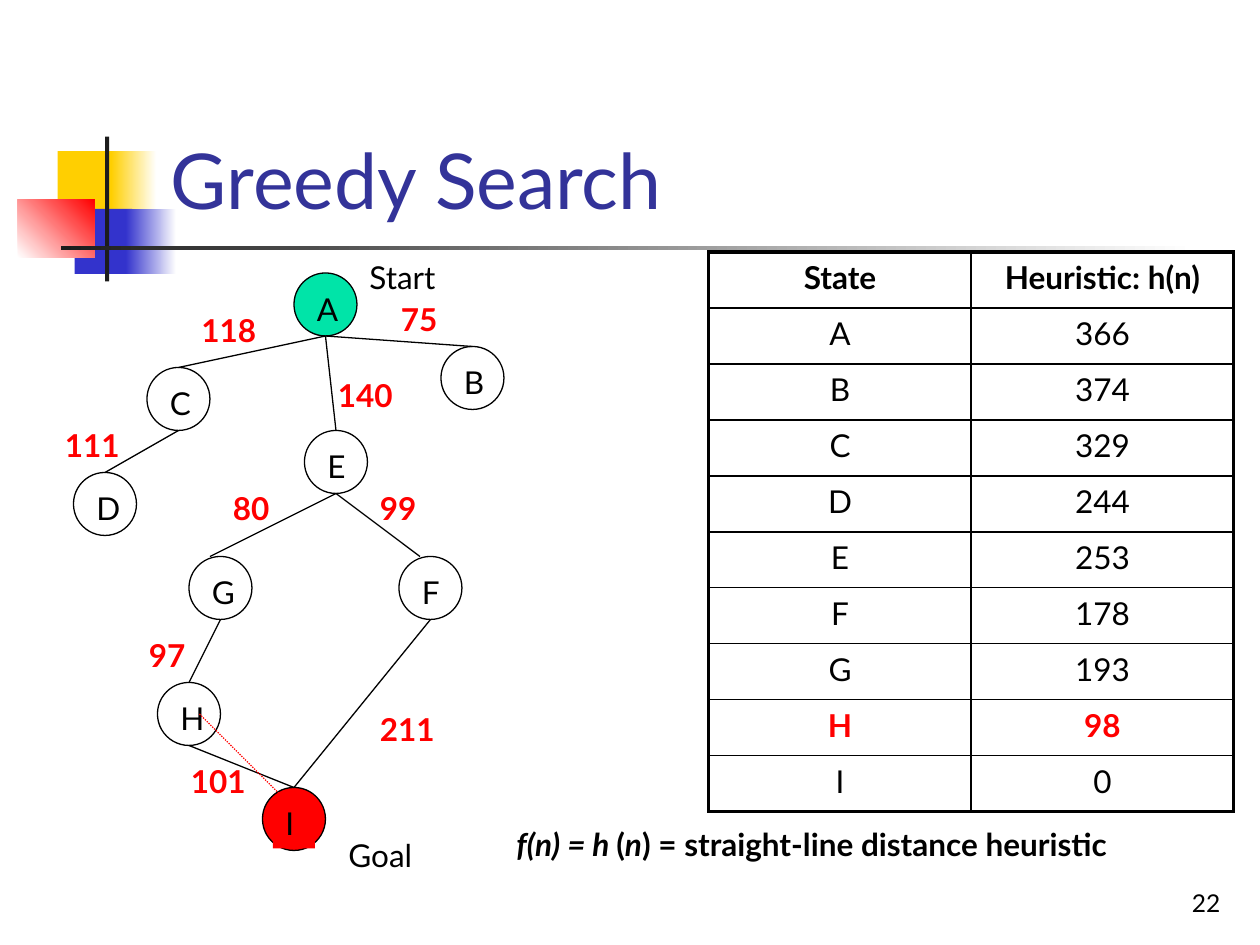
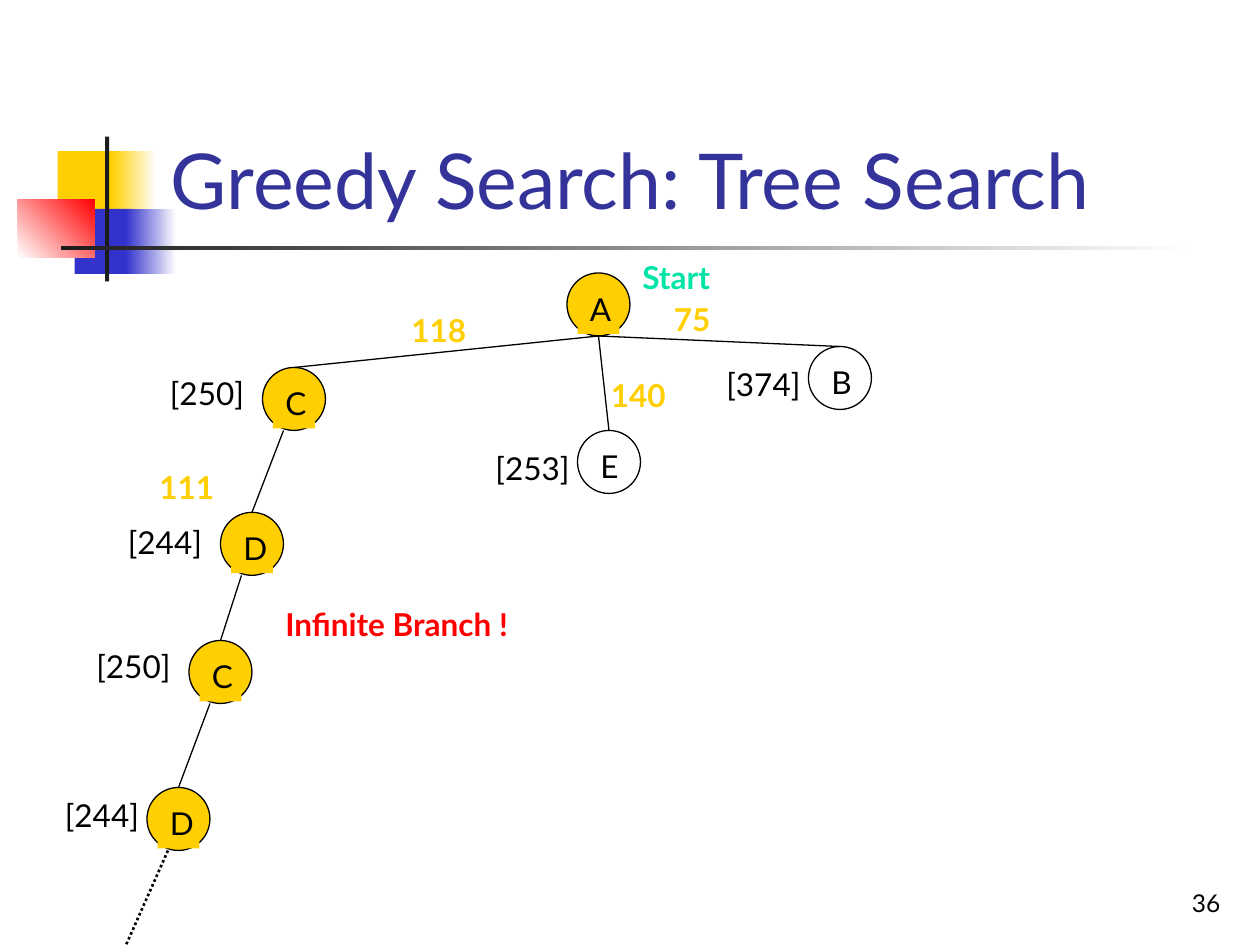
from lxml.etree import SubElement
from pptx import Presentation
from pptx.dml.color import RGBColor
from pptx.enum.dml import MSO_LINE
from pptx.enum.shapes import MSO_CONNECTOR, MSO_SHAPE
from pptx.enum.text import MSO_ANCHOR, PP_ALIGN
from pptx.oxml import parse_xml
from pptx.oxml.ns import nsdecls, qn
from pptx.util import Emu, Pt

PX = 7620  # EMU per px, 120 px to the inch
FONT = "Lato"
COLORS = {
    "black": "000000", "white": "FFFFFF", "red": "FF0000", "yellow": "FFCF01",
    "blue": "3333CC", "title": "333399", "ink": "1C1C1C", "green": "00E4A8",
}
NODE_SIZE = 60
LABEL_INSET = 10
LABEL_HEIGHT = 48
ELLIPSE_BOTTOM = "4"


def px(*lengths):
    return [Emu(length * PX) for length in lengths]


def color(name):
    return RGBColor.from_string(COLORS[name])


class Deck:
    def __init__(self):
        self.presentation = Presentation()
        self.presentation.slide_width, self.presentation.slide_height = px(1200, 900)
        self.slide = None
        self.nodes = {}

    def new_slide(self, title, number):
        self.slide = self.presentation.slides.add_slide(self.presentation.slide_layouts[6])
        self.nodes = {}
        # Corner blocks and rules
        self.shape((55, 144, 58, 62), "yellow")
        self.shape((106, 144, 43, 62), ("yellow", "white"))
        self.shape((71, 199, 55, 62), "blue")
        self.shape((120, 199, 48, 62), ("blue", "white"))
        self.shape((17, 190, 73, 55), ("white", "red"), angle=45)
        self.shape((100, 130, 4, 138), "ink")
        self.shape((58, 234, 1080, 4), ("ink", "white"))
        # Slide number and title
        self.text((924, 820, 250, 60), str(number), size=14,
                  align=PP_ALIGN.RIGHT, anchor=MSO_ANCHOR.BOTTOM)
        self.text((151, 28, 1022, 192), title, "title", size=44, anchor=MSO_ANCHOR.BOTTOM)

    def shape(self, box, fill=None, kind=MSO_SHAPE.RECTANGLE, line=None, angle=0):
        shape = self.slide.shapes.add_shape(kind, *px(*box))
        shape.shadow.inherit = False
        if fill is None:
            shape.fill.background()
        elif isinstance(fill, tuple):
            shape.fill.gradient()
            shape.fill.gradient_angle = angle
            for stop, name in zip(shape.fill.gradient_stops, fill):
                stop.color.rgb = color(name)
        else:
            shape.fill.solid()
            shape.fill.fore_color.rgb = color(fill)
        if line:
            shape.line.color.rgb = color(line)
            shape.line.width = Pt(0.75)
        else:
            shape.line.fill.background()
        return shape

    def format(self, paragraph, ink="black", size=18, bold=False, align=PP_ALIGN.LEFT):
        paragraph.alignment = align
        for run in paragraph.runs:
            run.font.name = FONT
            run.font.size = Pt(size)
            run.font.bold = bold
            run.font.color.rgb = color(ink)

    def text(self, box, text, ink="black", size=18, bold=False, fill=None,
             align=PP_ALIGN.LEFT, anchor=MSO_ANCHOR.TOP):
        """A string gives one run; a list holds (text, italic) runs."""
        if fill:
            shape = self.shape(box, fill)
        else:
            shape = self.slide.shapes.add_textbox(*px(*box))
        frame = shape.text_frame
        frame.word_wrap = True
        frame.vertical_anchor = anchor
        paragraph = frame.paragraphs[0]
        for part, italic in [(text, False)] if isinstance(text, str) else text:
            run = paragraph.add_run()
            run.text = part
            run.font.italic = italic
        self.format(paragraph, ink, size, bold, align)

    def labels(self, items, ink="black", bold=False):
        for text, left, top, width in items:
            self.text((left, top, width, LABEL_HEIGHT), text, ink, bold=bold)

    def node(self, key, left, top, fill=None, label_fill=None):
        """The first letter of the key is the state shown."""
        self.nodes[key] = self.shape((left, top, NODE_SIZE, NODE_SIZE), fill,
                                     MSO_SHAPE.OVAL, "black")
        self.text((left + LABEL_INSET, top + LABEL_INSET, NODE_SIZE - 2 * LABEL_INSET,
                   LABEL_HEIGHT), key[0], fill=label_fill)

    def line(self, start, end, ink="black", width=0.75, dotted=False, arrow=False):
        connector = self.slide.shapes.add_connector(MSO_CONNECTOR.STRAIGHT, *px(*start, *end))
        connector.line.color.rgb = color(ink)
        connector.line.width = Pt(width)
        if dotted:
            connector.line.dash_style = MSO_LINE.ROUND_DOT
        if arrow:
            SubElement(connector.line._get_or_add_ln(), qn("a:tailEnd"), type="triangle")
        SubElement(connector._element.spPr, qn("a:effectLst"))
        return connector

    def edge(self, parent_key, child_key, start_shift=0, end_shift=0):
        """Join a parent's bottom to a child's top; a shifted end stays free."""
        parent, child = self.nodes[parent_key], self.nodes[child_key]
        start = ((parent.left + parent.width // 2) // PX + start_shift,
                 (parent.top + parent.height) // PX)
        end = ((child.left + child.width // 2) // PX + end_shift, child.top // PX)
        connector = self.line(start, end)
        if not start_shift:
            connector.begin_connect(parent, 2)
            # An ellipse has eight sites, so its bottom has another index
            connector._element.xpath(".//a:stCxn")[0].set("idx", ELLIPSE_BOTTOM)
        if not end_shift:
            connector.end_connect(child, 0)

    def table(self, box, rows, highlight):
        table = self.slide.shapes.add_table(len(rows), len(rows[0]), *px(*box)).table
        table.first_row = table.horz_banding = False
        last_row, last_column = len(rows) - 1, len(rows[0]) - 1
        for i, row in enumerate(rows):
            for j, value in enumerate(row):
                cell = table.cell(i, j)
                cell.text_frame.text = value
                self.format(cell.text_frame.paragraphs[0],
                            "red" if i == highlight else "black",
                            bold=i in (0, highlight), align=PP_ALIGN.CENTER)
                cell.fill.background()
                self.borders(cell, L=j == 0, R=j == last_column, T=i == 0, B=i == last_row)

    def borders(self, cell, **outer_sides):
        properties = cell._tc.get_or_add_tcPr()
        for position, (side, outer) in enumerate(outer_sides.items()):
            width = Pt(2.25) if outer else Pt(1)
            properties.insert(position, parse_xml(
                f'<a:ln{side} {nsdecls("a")} w="{width}"><a:solidFill>'
                f'<a:srgbClr val="{COLORS["black"]}"/></a:solidFill></a:ln{side}>'))


def heuristic_slide(deck):
    deck.new_slide("Greedy Search", 22)
    # Search graph
    deck.node("A", 280, 260, "green")
    for key, left, top in [("B", 420, 330), ("C", 140, 350), ("D", 70, 450), ("E", 290, 410),
                           ("F", 380, 530), ("G", 180, 530), ("H", 150, 650)]:
        deck.node(key, left, top)
    deck.node("I", 250, 750, "red", "red")
    for parent, child in ["AB", "AC", "AE", "CD", "FI", "GH", "HI"]:
        deck.edge(parent, child)
    for child in "FG":
        deck.edge("E", child, end_shift=-10)
    # Step costs and captions
    deck.labels([("118", 180, 290, 100), ("75", 370, 280, 80), ("140", 310, 352, 100),
                 ("111", 50, 400, 100), ("80", 210, 460, 80), ("99", 350, 460, 80),
                 ("97", 130, 600, 80), ("101", 170, 720, 110), ("211", 350, 670, 100)],
                "red", bold=True)
    deck.labels([("Start", 340, 240, 160), ("Goal", 320, 790, 160)])
    deck.text((480, 780, 720, LABEL_HEIGHT),
              [("f(n) = h ", True), ("(", False), ("n", True),
               (") = straight-line distance heuristic", False)], bold=True)
    # Heuristic table
    distances = [366, 374, 329, 244, 253, 178, 193, 98, 0]
    rows = [("State", "Heuristic: h(n)")]
    rows += [(state, str(distance)) for state, distance in zip("ABCDEFGHI", distances)]
    deck.table((675, 240, 500, 533), rows, highlight=8)
    # Straight-line distance from H to the goal
    deck.line((190, 680), (280, 770), "red", dotted=True, arrow=True)


def tree_slide(deck):
    deck.new_slide("Greedy Search: Tree Search", 36)
    # Expanded nodes are filled
    for key, left, top in [("A", 540, 260), ("C", 250, 350), ("D", 210, 488),
                           ("C again", 180, 610), ("D again", 140, 750)]:
        deck.node(key, left, top, "yellow", "yellow")
    deck.node("B", 770, 330)
    deck.node("E", 550, 410)
    for child in "BCE":
        deck.edge("A", child)
    # Branch that never ends
    branch = ["C", "D", "C again", "D again"]
    for parent, child in zip(branch, branch[1:]):
        deck.edge(parent, child, start_shift=-10)
    deck.line((160, 810), (120, 900), width=1.5, dotted=True)
    # Step costs, heuristic values and captions
    deck.labels([("118", 380, 290, 100), ("75", 630, 280, 80), ("140", 570, 352, 100),
                 ("111", 140, 440, 100)], "yellow", bold=True)
    deck.labels([("[374]", 680, 342, 110), ("[250]", 150, 350, 110), ("[253]", 460, 422, 110),
                 ("[244]", 110, 492, 110), ("[250]", 80, 610, 110), ("[244]", 50, 752, 110)])
    deck.labels([("Start", 600, 240, 160)], "green", bold=True)
    deck.labels([("Infinite Branch !", 260, 570, 300)], "red", bold=True)


def main():
    deck = Deck()
    heuristic_slide(deck)
    tree_slide(deck)
    deck.presentation.save("out.pptx")


if __name__ == "__main__":
    main()
